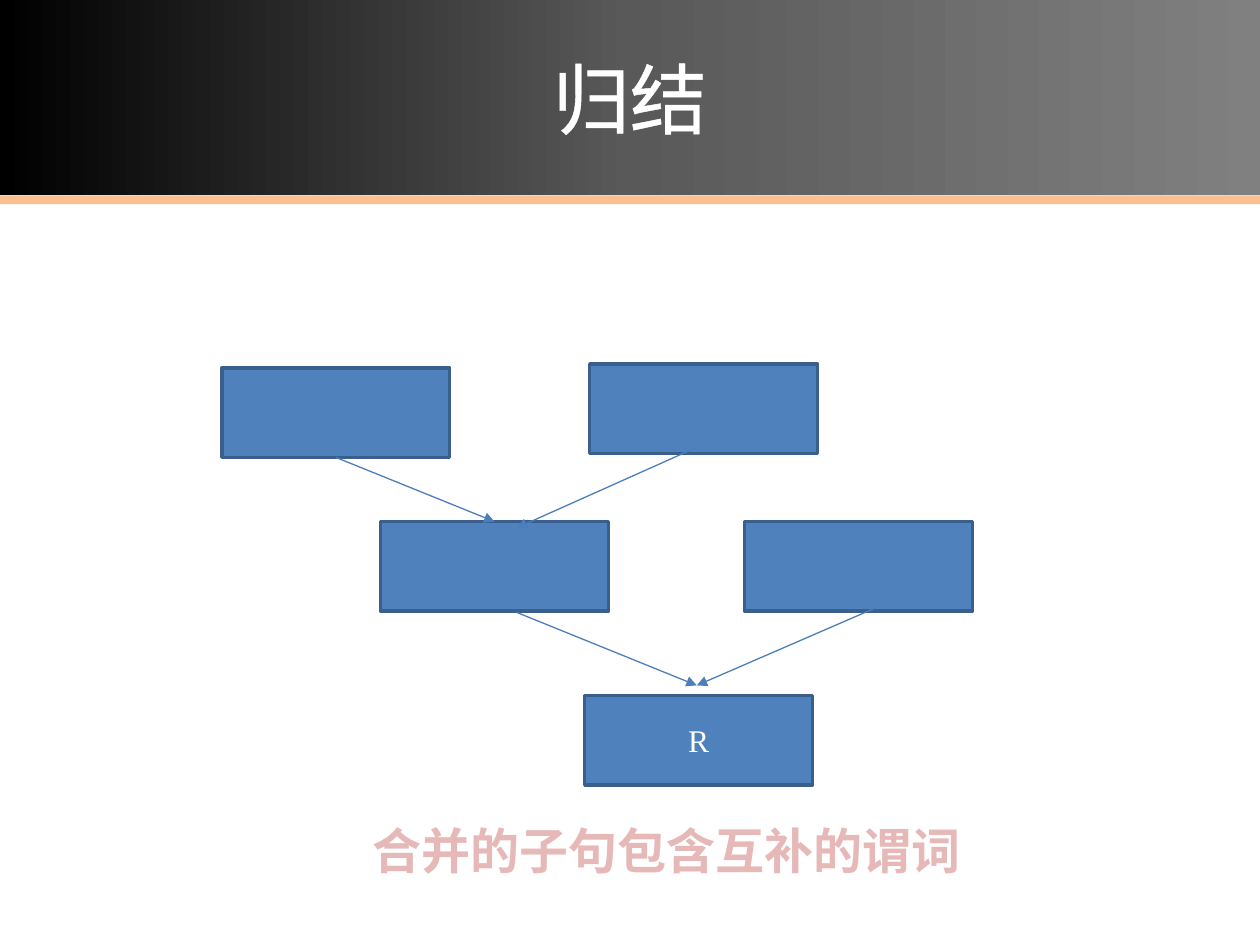
from copy import deepcopy
from typing import NamedTuple, Optional

from lxml import etree
from pptx import Presentation
from pptx import util as u
from pptx.dml.color import RGBColor
from pptx.enum import shapes, text
from pptx.oxml.ns import qn

COLORS = {
    "white": "FFFFFF", "bar": "FAC090", "box": "4F81BD", "border": "3A5F8C",
    "arrow": "4B7EBC", "note": "E6B9B8", "note_outline": "C0504D",
}
TITLE_STOPS = ["000000", "595959", "808080"]
CJK_FONT = "Noto Sans CJK SC"

deck = Presentation()
deck.slide_width, deck.slide_height = u.Inches(10), u.Inches(7.5)
# Grid of 100 columns by 75 rows
COLUMN, ROW = deck.slide_width / 100, deck.slide_height / 75
BOX_COLUMNS, BOX_ROWS = 18.1, 7.1


class Clause(NamedTuple):
    column: float
    row: float
    label: str = ""


class Arrow(NamedTuple):
    start: tuple[float, float]
    end: tuple[float, float]
    joins: Optional[tuple[int, int]] = None  # clauses joined bottom to top


CLAUSES = [
    Clause(17.6, 29.2), Clause(46.8, 28.9),
    Clause(30.2, 41.4), Clause(59.1, 41.4),
    Clause(46.4, 55.2, "R"),
]
ARROWS = [
    Arrow((26.7, 36.3), (39.3, 41.4), joins=(0, 2)),
    Arrow((41, 48.6), (55.3, 54.4)),
    Arrow((55.3, 35.5), (41, 41.9)),
    Arrow((69.6, 48.2), (55.3, 54.4)),
]


def rgb(name: str) -> RGBColor:
    return RGBColor.from_string(COLORS[name])


def grid(column: float, row: float) -> tuple[int, int]:
    return round(column * COLUMN), round(row * ROW)


def write(box, words: str, color: str, **formats):
    """Write one centred line in the box and return its span."""
    frame = box.text_frame
    frame.vertical_anchor = text.MSO_ANCHOR.MIDDLE
    para = frame.paragraphs[0]
    para.alignment = text.PP_ALIGN.CENTER
    span = para.add_run()
    span.text = words
    for key, value in formats.items():
        setattr(span.font, key, value)
    span.font.color.rgb = rgb(color)
    return span


def outline(span, color: str, points: float) -> None:
    """Outline the letters and set their East Asian font."""
    props = span.font._element
    line = etree.Element(qn("a:ln"), w=str(u.Pt(points)))
    fill = etree.SubElement(line, qn("a:solidFill"))
    etree.SubElement(fill, qn("a:srgbClr"), val=COLORS[color])
    props.insert(0, line)
    props.find(qn("a:latin")).addnext(etree.Element(qn("a:ea"), typeface=CJK_FONT))


def add_box(parent, place, size, fill: str):
    box = parent.add_shape(shapes.MSO_SHAPE.RECTANGLE, *place, *size)
    box.shadow.inherit = False
    box.fill.solid()
    box.fill.fore_color.rgb = rgb(fill)
    box.line.fill.background()
    return box


def add_clause(parent, clause: Clause):
    box = add_box(parent, grid(clause.column, clause.row),
                  grid(BOX_COLUMNS, BOX_ROWS), "box")
    box.line.color.rgb = rgb("border")
    box.line.width = u.Pt(2)
    if clause.label:
        write(box, clause.label, "white", name="Times New Roman", size=u.Pt(18))
    return box


def add_arrow(parent, arrow: Arrow, boxes: list) -> None:
    link = parent.add_connector(shapes.MSO_CONNECTOR.STRAIGHT,
                                *grid(*arrow.start), *grid(*arrow.end))
    if arrow.joins:
        source, target = arrow.joins
        link.begin_connect(boxes[source], 2)
        link.end_connect(boxes[target], 0)
    link.line.color.rgb = rgb("arrow")
    link.line.width = u.Pt(0.75)
    etree.SubElement(link.line._get_or_add_ln(), qn("a:tailEnd"), type="triangle")
    etree.SubElement(link._element.spPr, qn("a:effectLst"))


page = deck.slides.add_slide(deck.slide_layouts[5])

# Title band with a three-stop gradient
title = page.shapes.title
title.left, title.top = grid(0, 0)
title.width, title.height = grid(100, 15.5)
title.fill.gradient()
title.fill.gradient_angle = 0
stops = title._element.spPr.find(".//" + qn("a:gsLst"))
stops.insert(1, deepcopy(stops[0]))
for index, (stop, color) in enumerate(zip(title.fill.gradient_stops, TITLE_STOPS)):
    stop.position = index / 2
    stop.color.rgb = RGBColor.from_string(color)
heading = write(title, "归结", "white", name=CJK_FONT, size=u.Pt(44))
outline(heading, "white", 1.45)

# Bar under the title, behind everything else
bar = add_box(page.shapes, grid(0, 15.5), grid(100, 0.7), "bar")
title._element.addprevious(bar._element)

# Resolution tree
tree = page.shapes.add_group_shape().shapes
clause_boxes = [add_clause(tree, clause) for clause in CLAUSES]
for arrow in ARROWS:
    add_arrow(tree, arrow, clause_boxes)

# Note below the tree
note = page.shapes.add_textbox(*grid(28.2, 64.6), *grid(49.4, 5.7))
note.text_frame.word_wrap = False
note.text_frame.auto_size = text.MSO_AUTO_SIZE.SHAPE_TO_FIT_TEXT
remark = write(note, "合并的子句包含互补的谓词", "note",
               name="Calibri", size=u.Pt(28), bold=True)
outline(remark, "note_outline", 1.75)

deck.save("out.pptx")
